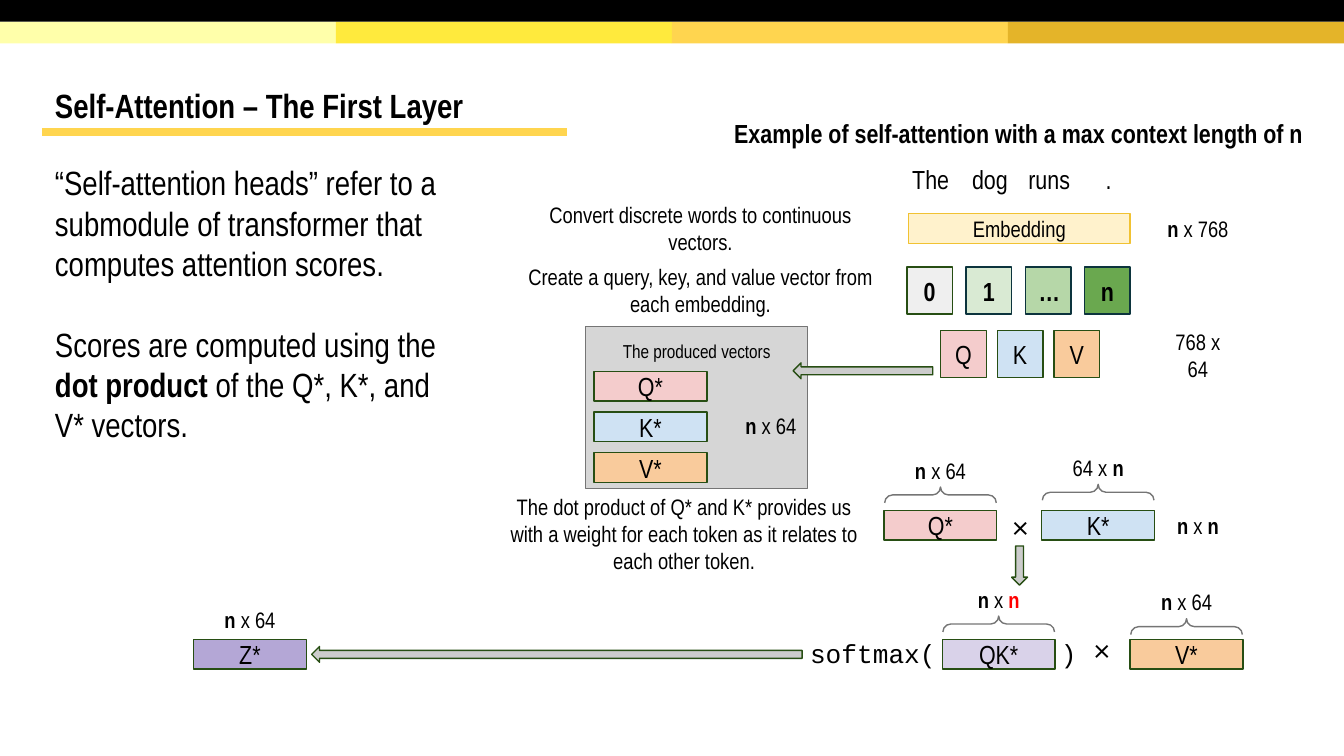
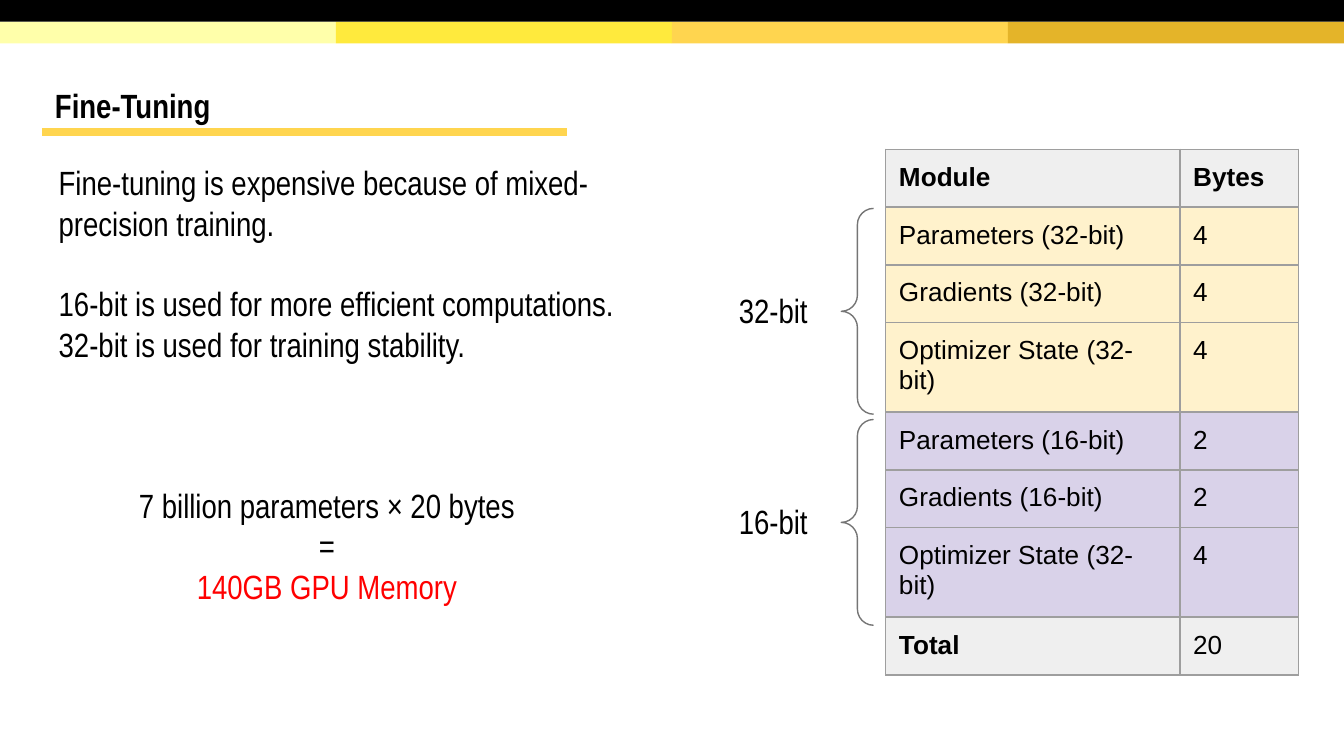
import dataclasses

import lxml.etree
import pptx
import pptx.dml.color
import pptx.enum.shapes
import pptx.enum.text
import pptx.oxml.ns
import pptx.util

Cm = pptx.util.Cm
Pt = pptx.util.Pt
RGBColor = pptx.dml.color.RGBColor
SHAPE = pptx.enum.shapes.MSO_SHAPE
ALIGN = pptx.enum.text.PP_ALIGN
ANCHOR = pptx.enum.text.MSO_ANCHOR


@dataclasses.dataclass(frozen=True)
class Theme:
    black: str = "000000"
    red: str = "FF0000"
    gold: str = "FFD54F"
    bands: tuple = ("FFFFAA", "FFEA3D", "FFD54F", "E4B429")
    outline: str = "274E13"
    token_outline: str = "0C343D"
    tokens: tuple = ("EFEFEF", "D9EAD3", "B6D7A8", "6AA84F")
    query: str = "F4CCCC"
    key: str = "CFE2F3"
    value: str = "F9CB9C"
    lilac: str = "D9D2E9"
    violet: str = "B4A7D6"
    cream: str = "FFF2CC"
    cream_outline: str = "F1C232"
    header: str = "EFEFEF"
    panel: str = "D6D6D6"
    arrow: str = "CCCCCC"
    gray: str = "757575"
    grid: str = "9E9E9E"
    font: str = "Arial Narrow"
    table_font: str = "Arial"
    code_font: str = "Courier New"
    math_font: str = "Cambria"
    large: int = 18
    medium: int = 14
    small: int = 12
    tiny: int = 10
    hairline: float = 0.75


theme = Theme()


def write_text(frame, paragraphs, size, font, bold, align):
    """Fill a text frame; a bar in the text switches bold on and off."""
    for index, text in enumerate(paragraphs):
        paragraph = frame.paragraphs[0] if index == 0 else frame.add_paragraph()
        paragraph.alignment = align
        paragraph.font.size = Pt(size)
        paragraph.font.name = font
        paragraph.font.bold = bold
        paragraph.font.color.rgb = RGBColor.from_string(theme.black)
        pieces = text.split("|")
        for position, piece in enumerate(pieces):
            if piece:
                run = paragraph.add_run()
                run.text = piece
                if len(pieces) > 1:
                    run.font.bold = position % 2 == 1


def add_box(slide, box, paragraphs=(), kind=None, fill=None, line=None, size=theme.small,
            font=theme.font, bold=False, align=ALIGN.CENTER, anchor=ANCHOR.MIDDLE, rotation=0):
    """Add a preset shape, or a text box when no kind is given; box is in cm."""
    place = [Cm(length) for length in box]
    if kind is None:
        shape = slide.shapes.add_textbox(*place)
    else:
        shape = slide.shapes.add_shape(kind, *place)
        shape.shadow.inherit = False
        shape.rotation = rotation
        if fill:
            shape.fill.solid()
            shape.fill.fore_color.rgb = RGBColor.from_string(fill)
        else:
            shape.fill.background()
        if line:
            shape.line.color.rgb = RGBColor.from_string(line)
            shape.line.width = Pt(theme.hairline)
        else:
            shape.line.fill.background()
        for index in range(len(shape.adjustments)):
            shape.adjustments[index] = 0.5
    frame = shape.text_frame
    frame.word_wrap = True
    frame.vertical_anchor = anchor
    frame.margin_left = frame.margin_right = frame.margin_top = frame.margin_bottom = Cm(0.25)
    write_text(frame, paragraphs, size, font, bold, align)
    return shape


presentation = pptx.Presentation()
presentation.slide_width = Cm(25.4)
presentation.slide_height = Cm(14.29)

# Bands, title and rule on every slide
slides = []
for title in ("Self-Attention – The First Layer", "Fine-Tuning"):
    slide = presentation.slides.add_slide(presentation.slide_layouts[6])
    slides.append(slide)
    for index, color in enumerate(theme.bands):
        add_box(slide, (6.35 * index, 0.41, 6.35, 0.41), kind=SHAPE.RECTANGLE, fill=color)
    add_box(slide, (0, 0, 25.4, 0.41), kind=SHAPE.RECTANGLE, fill=theme.black)

    rule = slide.shapes.add_connector(pptx.enum.shapes.MSO_CONNECTOR.STRAIGHT,
                                      Cm(0.79), Cm(2.49), Cm(10.72), Cm(2.49))
    rule.line.color.rgb = RGBColor.from_string(theme.gold)
    rule.line.width = Pt(4.5)
    lxml.etree.SubElement(rule._element.spPr, pptx.oxml.ns.qn("a:effectLst"))

    heading = add_box(slide, (0.86, 1.24, 23.67, 1.6), [title], size=theme.large,
                      bold=True, align=ALIGN.LEFT)
    heading.text_frame.margin_left = heading.text_frame.margin_right = Cm(0.18)
    heading.text_frame.margin_top = heading.text_frame.margin_bottom = Cm(0.1)
    heading.text_frame.paragraphs[0].line_spacing = 0.85

attention, tuning = slides

# Self-attention: explanation
explanation = add_box(
    attention, (0.79, 2.82, 7.85, 5.38),
    ["“Self-attention heads” refer to a submodule of transformer that computes attention scores.",
     "Scores are computed using the |dot product| of the Q*, K*, and V* vectors."],
    size=theme.large, align=ALIGN.LEFT, anchor=ANCHOR.TOP)
explanation.text_frame.paragraphs[1].space_before = Pt(21.6)

add_box(attention, (13.34, 1.96, 11.84, 1.12),
        ["Example of self-attention with a max context length of n"],
        size=theme.medium, bold=True, anchor=ANCHOR.TOP)

# Step descriptions
for top, height, text in (
    (3.81, 1.02, "Convert discrete words to continuous vectors."),
    (4.98, 1.02, "Create a query, key, and value vector from each embedding."),
):
    add_box(attention, (9.58, top, 7.32, height), [text])
add_box(attention, (9.27, 9.37, 7.32, 1.42),
        ["The dot product of Q* and K* provides us with a weight for each token "
         "as it relates to each other token."])

# Words, embedding and numbered tokens
token_outlines = (theme.outline,) + (theme.token_outline,) * 3
columns = zip(("The", "dog", "runs", "."), ("0", "1", "…", "n"), theme.tokens, token_outlines)
for index, (word, token, fill, outline) in enumerate(columns):
    add_box(attention, (16.74 + 1.12 * index, 2.82, 1.7, 1.12), [word], size=theme.medium)
    add_box(attention, (17.14 + 1.12 * index, 5.05, 0.86, 0.89), [token],
            SHAPE.RECTANGLE, fill, outline, theme.medium, bold=True)
add_box(attention, (17.17, 4.04, 4.19, 0.56), ["Embedding"],
        SHAPE.RECTANGLE, theme.cream, theme.cream_outline)

# Query, key and value weights with the vectors they produce
add_box(attention, (11.07, 6.17, 4.19, 3.07), ["The produced vectors"], SHAPE.RECTANGLE,
        theme.panel, theme.gray, theme.tiny, anchor=ANCHOR.TOP)
weights = (("Q", theme.query), ("K", theme.key), ("V", theme.value))
for index, (name, fill) in enumerate(weights):
    add_box(attention, (17.78 + 1.07 * index, 6.25, 0.86, 0.89), [name],
            SHAPE.RECTANGLE, fill, theme.outline, theme.medium)
    add_box(attention, (11.23, 7.02 + 0.77 * index, 2.13, 0.56), [name + "*"],
            SHAPE.RECTANGLE, fill, theme.outline, theme.medium)

# Dimensions beside each step
for left, top, text in (
    (21.79, 3.81, "|n| x 768"),
    (21.79, 6.2, "768 x 64"),
    (13.72, 7.54, "|n| x 64"),
    (21.79, 9.42, "|n| x |n"),
):
    add_box(attention, (left, top, 1.7, 1.02), [text])

# Matrices with their dimensions above, braced where they are operands
for name, fill, left, top, dimensions, label_top, braced in (
    ("Q*", theme.query, 16.71, 9.65, "|n| x 64", 8.38, True),
    ("K*", theme.key, 19.69, 9.65, "64 x |n", 8.33, True),
    ("QK*", theme.lilac, 17.81, 12.09, "|n| x |n", 10.82, True),
    ("V*", theme.value, 21.36, 12.09, "|n| x 64", 10.87, True),
    ("Z*", theme.violet, 3.66, 12.09, "|n| x 64", 11.2, False),
):
    center = left + 2.13 / 2
    add_box(attention, (left, top, 2.13, 0.56), [name],
            SHAPE.RECTANGLE, fill, theme.outline, theme.medium)
    label = add_box(attention, (center - 0.85, label_top, 1.7, 1.02), [dimensions])
    if name == "QK*":
        label.text_frame.paragraphs[0].runs[-1].font.color.rgb = RGBColor.from_string(theme.red)
    if braced:
        add_box(attention, (center - 0.15, label_top + 0.97 - 1.05, 0.3, 2.11),
                kind=SHAPE.RIGHT_BRACE, line=theme.gray, rotation=270)

# Operators
for left, top in ((18.75, 9.3), (20.29, 11.61)):
    add_box(attention, (left, top, 1.07, 1.27), ["×"], size=theme.large, font=theme.math_font)
for left, width, text in ((15.06, 3, "softmax("), (19.8, 0.8, ")")):
    add_box(attention, (left, 11.71, width, 1.27), [text], size=theme.medium,
            font=theme.code_font, align=ALIGN.LEFT)

# Block arrows
for left, top, length, rotation in (
    (14.99, 6.86, 2.64, 0),
    (5.89, 12.22, 9.27, 0),
    (18.9, 10.54, 0.74, 270),
):
    add_box(attention, (left, top, length, 0.3), kind=SHAPE.LEFT_ARROW,
            fill=theme.arrow, line=theme.outline, rotation=rotation)

# Fine-tuning: text and memory estimate
reasons = add_box(
    tuning, (0.86, 2.82, 12.55, 4.37),
    ["Fine-tuning is expensive because of mixed-precision training.",
     "16-bit is used for more efficient computations.",
     "32-bit is used for training stability."],
    size=theme.large, align=ALIGN.LEFT, anchor=ANCHOR.TOP)
reasons.text_frame.paragraphs[1].space_before = Pt(21.6)

estimate = add_box(tuning, (2.13, 8.92, 8.1, 2.82),
                   ["7 billion parameters × 20 bytes", "=", "140GB GPU Memory"],
                   size=theme.large, anchor=ANCHOR.TOP)
estimate.text_frame.paragraphs[2].font.color.rgb = RGBColor.from_string(theme.red)

# Memory table
rows = (
    ("|Module", "|Bytes", theme.header),
    ("Parameters (32-bit)", "4", theme.cream),
    ("Gradients (32-bit)", "4", theme.cream),
    ("Optimizer State (32-bit)", "4", theme.cream),
    ("Parameters (16-bit)", "2", theme.lilac),
    ("Gradients (16-bit)", "2", theme.lilac),
    ("Optimizer State (32-bit)", "4", theme.lilac),
    ("|Total", "20", theme.header),
)
table = tuning.shapes.add_table(len(rows), 2, Cm(16.74), Cm(2.82),
                                Cm(7.8), Cm(1.07 * len(rows))).table
table.first_row = False
table.horz_banding = False
table.columns[0].width = Cm(5.56)
table.columns[1].width = Cm(2.24)
for row_index, (module, size_in_bytes, fill) in enumerate(rows):
    table.rows[row_index].height = Cm(1.07)
    for column_index, text in enumerate((module, size_in_bytes)):
        cell = table.cell(row_index, column_index)
        cell.margin_left = cell.margin_right = cell.margin_top = cell.margin_bottom = Cm(0.25)
        write_text(cell.text_frame, [text], theme.medium, theme.table_font, False, ALIGN.LEFT)
        properties = cell._tc.get_or_add_tcPr()
        for side in ("a:lnL", "a:lnR", "a:lnT", "a:lnB"):
            border = lxml.etree.SubElement(properties, pptx.oxml.ns.qn(side),
                                           w=str(Pt(theme.hairline)))
            solid = lxml.etree.SubElement(border, pptx.oxml.ns.qn("a:solidFill"))
            lxml.etree.SubElement(solid, pptx.oxml.ns.qn("a:srgbClr"), val=theme.grid)
        cell.fill.solid()
        cell.fill.fore_color.rgb = RGBColor.from_string(fill)

# Precision groups
for index, precision in enumerate(("32-bit", "16-bit")):
    add_box(tuning, (15.9, 3.94 + 3.99 * index, 0.61, 3.89),
            kind=SHAPE.LEFT_BRACE, line=theme.gray)
    add_box(tuning, (13.41, 5.23 + 3.99 * index, 2.41, 1.27), [precision],
            size=theme.large, anchor=ANCHOR.TOP)

presentation.save("out.pptx")
